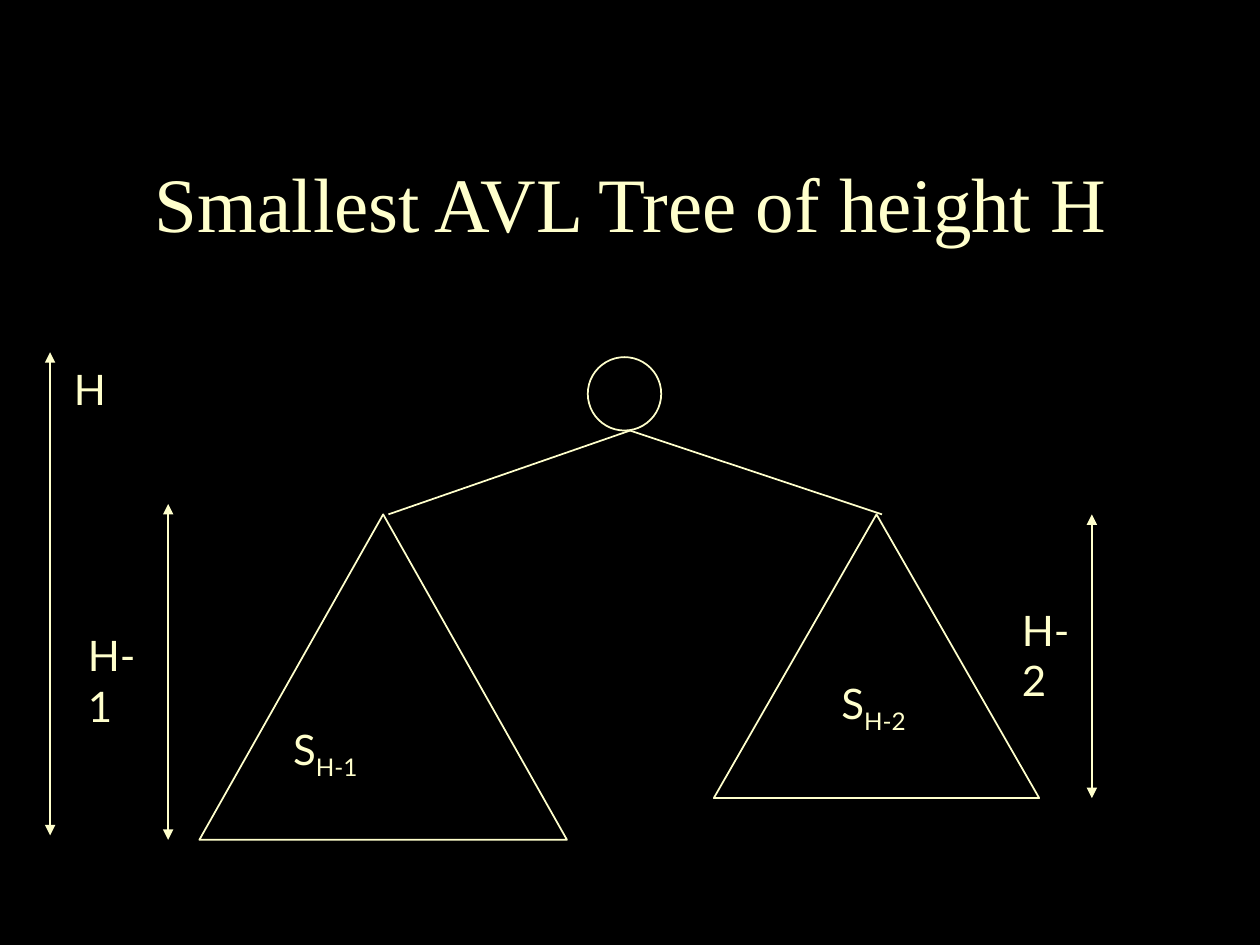
import pptx
import pptx.dml.color
import pptx.enum.shapes
import pptx.enum.text
import pptx.oxml
import pptx.oxml.ns
import pptx.util
from lxml import etree

Cm = pptx.util.Cm
Pt = pptx.util.Pt
CREAM = pptx.dml.color.RGBColor(0xFF, 0xFF, 0xCC)
BLACK = pptx.dml.color.RGBColor(0x00, 0x00, 0x00)
SHAPES = pptx.enum.shapes.MSO_SHAPE


def format_run(run, size, font_name):
    run.font.size = Pt(size)
    run.font.name = font_name
    run.font.color.rgb = CREAM


def add_line(slide, start, end, arrows=False):
    connector = slide.shapes.add_connector(
        pptx.enum.shapes.MSO_CONNECTOR.STRAIGHT, *map(Cm, start + end))
    connector.line.color.rgb = CREAM
    connector.line.width = Pt(1)
    if arrows:
        line = connector.line._get_or_add_ln()
        for tag in ("a:headEnd", "a:tailEnd"):
            etree.SubElement(line, pptx.oxml.ns.qn(tag), type="triangle")
    etree.SubElement(connector._element.spPr, pptx.oxml.ns.qn("a:effectLst"))


presentation = pptx.Presentation()
presentation.slide_width = Cm(25.4)
presentation.slide_height = Cm(19.05)
slide = presentation.slides.add_slide(presentation.slide_layouts[5])
slide.background.fill.solid()
slide.background.fill.fore_color.rgb = BLACK

title = slide.shapes.title
title.left, title.top, title.width, title.height = Cm(0.38), Cm(2.46), Cm(24.69), Cm(3.2)
title.text_frame.text = "Smallest AVL Tree of height H"
title.text_frame.vertical_anchor = pptx.enum.text.MSO_ANCHOR.MIDDLE
paragraph = title.text_frame.paragraphs[0]
paragraph.alignment = pptx.enum.text.PP_ALIGN.CENTER
format_run(paragraph.runs[0], 44, "Times New Roman")

tree_parts = [
    (SHAPES.OVAL, 11.85, 7.2, 1.48, 1.48),
    (SHAPES.ISOSCELES_TRIANGLE, 4.02, 10.37, 7.41, 6.56),
    (SHAPES.ISOSCELES_TRIANGLE, 14.39, 10.37, 6.56, 5.72),
]
for kind, *box in tree_parts:
    shape = slide.shapes.add_shape(kind, *map(Cm, box))
    shape.shadow.inherit = False
    shape.fill.background()
    shape.line.color.rgb = CREAM
    shape.line.width = Pt(1)

root = (12.7, 8.68)
for subtree_top in [(7.83, 10.37), (17.78, 10.37)]:
    add_line(slide, subtree_top, root)

height_arrows = [(1.01, 16.84, 7.1), (3.39, 16.93, 10.16), (22.01, 16.09, 10.37)]
for x, bottom, top in height_arrows:
    add_line(slide, (x, bottom), (x, top), arrows=True)

labels = [
    ("H", "", 1.24, 7.2, 1.12, 1.42),
    ("H-1", "", 1.52, 12.57, 1.88, 1.42),
    ("H-2", "", 20.35, 12.06, 1.88, 1.42),
    ("S", "H-1", 5.66, 14.47, 1.88, 1.52),
    ("S", "H-2", 16.71, 13.54, 1.88, 1.52),
]
for text, subscript, *box in labels:
    text_box = slide.shapes.add_textbox(*map(Cm, box))
    text_box.text_frame.word_wrap = True
    paragraph = text_box.text_frame.paragraphs[0]
    paragraph.text = text
    if subscript:
        run = paragraph.add_run()
        run.text = subscript
        run.font._element.set("baseline", "-25000")
    for run in paragraph.runs:
        format_run(run, 24, "Lato")

presentation.save("out.pptx")
